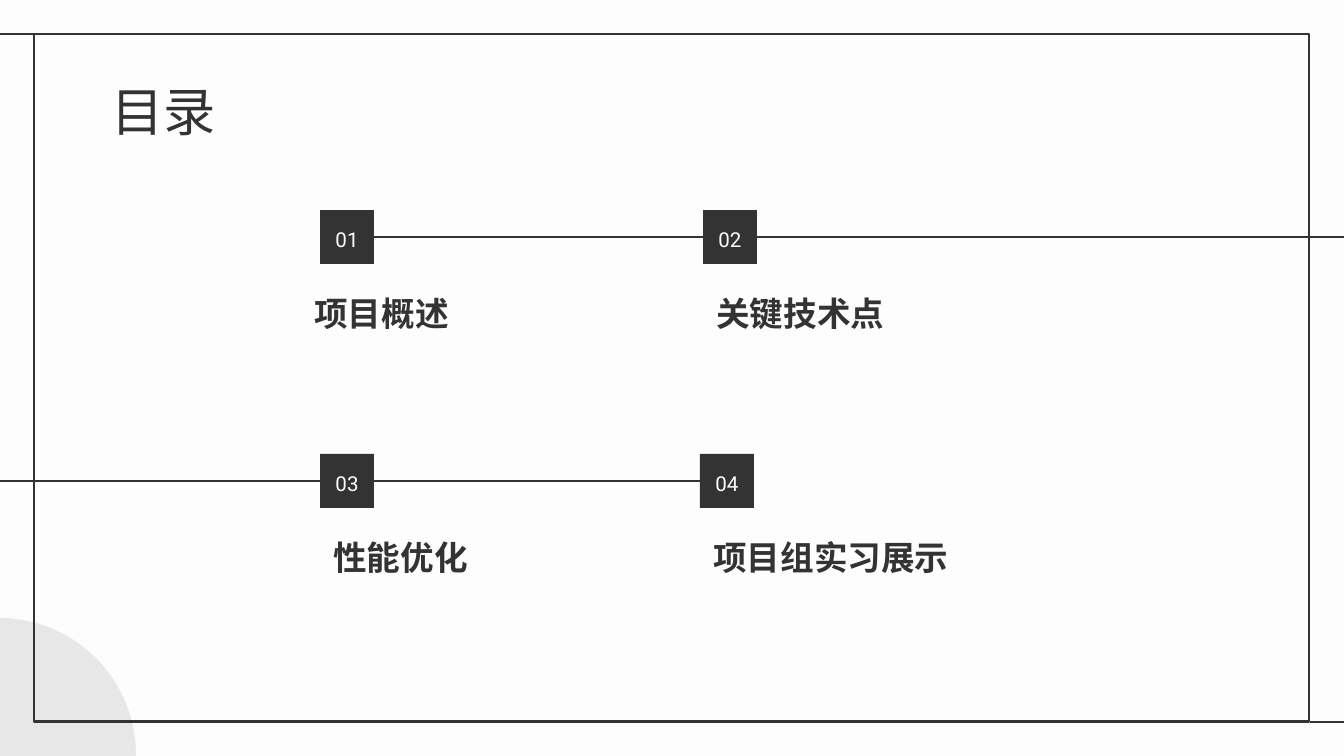
import pptx
import pptx.dml.color
import pptx.enum.shapes
import pptx.enum.text
import pptx.oxml.ns
import pptx.util
from lxml import etree

PX = 914400 / 134.4
INK, PAPER, GREY = "333333", "FDFDFD", "E8E7E7"
CJK = "Noto Sans CJK SC"
MSO = pptx.enum.shapes.MSO_SHAPE
ANCHOR = pptx.enum.text.MSO_ANCHOR
ALIGN = pptx.enum.text.PP_ALIGN
SQUARE = 54


def px(*lengths):
    """Turn pixel lengths into EMU."""
    return [pptx.util.Emu(round(n * PX)) for n in lengths]


def colour(hex_text):
    """Return the colour for a hex string."""
    return pptx.dml.color.RGBColor.from_string(hex_text)


def set_text(sp, text, size, font, ink, anchor, align=ALIGN.LEFT, spacing=1.0, bold=False):
    """Write one formatted paragraph into a shape."""
    tf = sp.text_frame
    tf.word_wrap = True
    tf.auto_size = pptx.enum.text.MSO_AUTO_SIZE.NONE
    tf.vertical_anchor = anchor
    tf.margin_left = tf.margin_right = tf.margin_top = tf.margin_bottom = pptx.util.Inches(0.1)
    tf.text = text
    p = tf.paragraphs[0]
    p.alignment, p.line_spacing = align, spacing
    r = p.runs[0]
    r.font.name, r.font.size, r.font.bold = font, pptx.util.Pt(size), bold
    r.font.color.rgb = colour(ink)
    ea = etree.SubElement(r.font._element, pptx.oxml.ns.qn("a:ea"))
    ea.set("typeface", CJK)


def add_shape(s, kind, box, fill=None, line=None):
    """Add a preset shape with an optional fill and outline."""
    sp = s.shapes.add_shape(kind, *px(*box))
    sp.shadow.inherit = False
    if fill:
        sp.fill.solid()
        sp.fill.fore_color.rgb = colour(fill)
    else:
        sp.fill.background()
    if line:
        sp.line.color.rgb = colour(line)
        sp.line.width = pptx.util.Pt(1.5)
    else:
        sp.line.fill.background()
    return sp


def add_line(s, x1, x2, y):
    """Add a horizontal rule."""
    line = s.shapes.add_connector(pptx.enum.shapes.MSO_CONNECTOR.STRAIGHT, *px(x1, y, x2, y))
    line.line.color.rgb = colour(INK)
    line.line.width = pptx.util.Pt(1.5)
    etree.SubElement(line._element.spPr, pptx.oxml.ns.qn("a:effectLst"))
    return line


def add_number(s, text, x, y):
    """Add a dark square with a section number."""
    sp = add_shape(s, MSO.RECTANGLE, (x, y, SQUARE, SQUARE), fill=INK)
    set_text(sp, text, 11, "Roboto", PAPER, ANCHOR.MIDDLE, ALIGN.CENTER, 1.15)
    return sp


def add_label(s, text, x, y):
    """Add a bold section name."""
    sp = s.shapes.add_textbox(*px(x, y, 339, 56))
    set_text(sp, text, 18, CJK, INK, ANCHOR.BOTTOM, spacing=1.15, bold=True)


def add_frame(s):
    """Draw the corner circle and the frame with its two overhanging edges."""
    add_shape(s, MSO.OVAL, (-138, 618, 274, 274), fill=GREY)
    add_shape(s, MSO.RECTANGLE, (34, 34, 1275, 688), line=INK)
    add_line(s, 35, -3, 34)
    add_line(s, 1348, 1310, 722)


def main():
    """Build the contents slide."""
    prs = pptx.Presentation()
    prs.slide_width, prs.slide_height = px(1344, 756)
    s = prs.slides.add_slide(prs.slide_layouts[5])
    s.background.fill.solid()
    s.background.fill.fore_color.rgb = colour(PAPER)
    add_frame(s)

    title = s.shapes.title
    title.left, title.top, title.width, title.height = px(98, 66, 1133, 85)
    set_text(title, "目录", 28, "Roboto", INK, ANCHOR.TOP)

    top_line = add_line(s, 374, 1435, 237)
    bottom_line = add_line(s, 700, -30, 481)
    sections = [
        ("01", "项目概述", 320, 210, 301),
        ("02", "关键技术点", 703, 210, 703),
        ("03", "性能优化", 320, 454, 320),
        ("04", "项目组实习展示", 700, 454, 700),
    ]
    squares = {}
    for number, name, x, y, label_x in sections:
        squares[number] = add_number(s, number, x, y)
        add_label(s, name, label_x, y + 81)
    top_line.begin_connect(squares["01"], 3)
    bottom_line.begin_connect(squares["04"], 1)

    prs.save("out.pptx")


if __name__ == "__main__":
    main()
